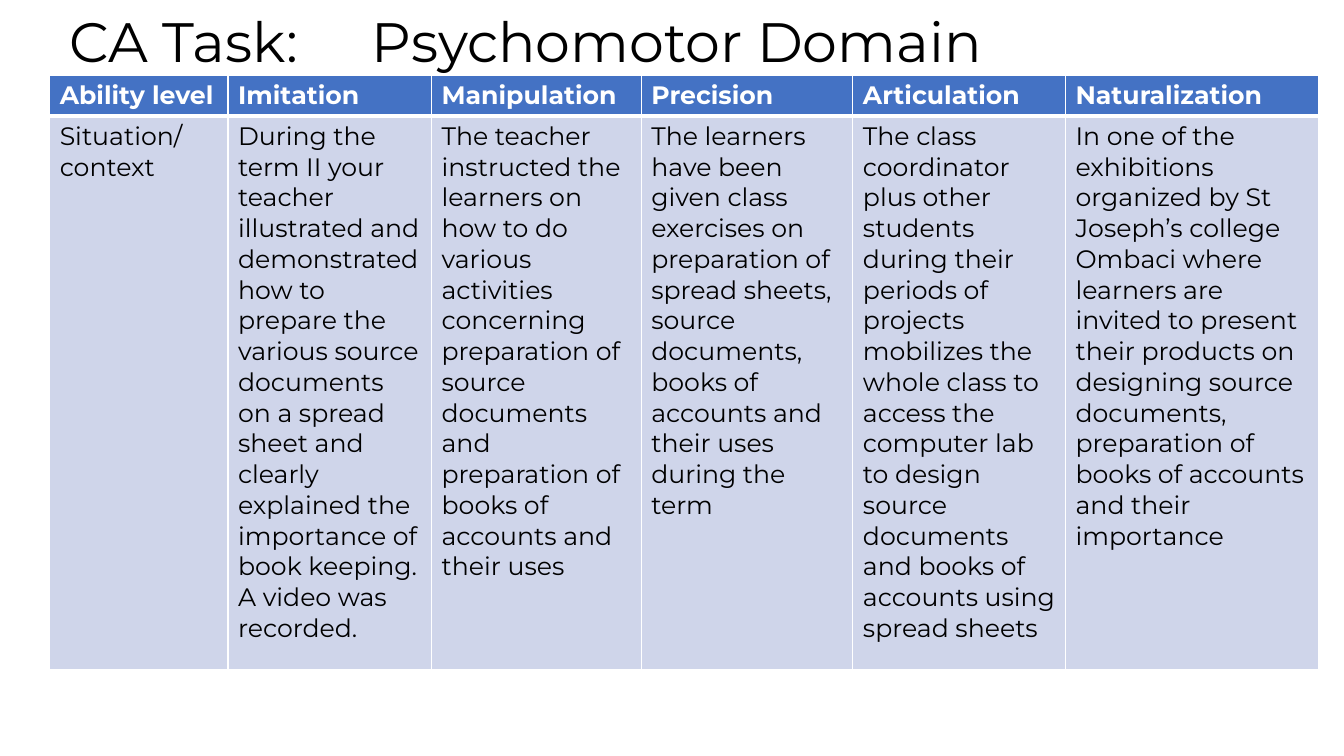
from lxml.etree import SubElement
from pptx import Presentation
from pptx.dml.color import RGBColor
from pptx.enum.text import MSO_ANCHOR, MSO_AUTO_SIZE, PP_ALIGN
from pptx.oxml.ns import qn
from pptx.util import Pt

TITLE = "CA Task:\tPsychomotor Domain"
LEVELS = [
    ("Ability level", 127.4, "Situation/ context"),
    ("Imitation", 145.4,
     "During the term II your teacher illustrated and demonstrated how to prepare "
     "the various source documents on a spread sheet and clearly explained the "
     "importance of book keeping. A video was recorded."),
    ("Manipulation", 149.8,
     "The teacher instructed the learners on how to do various activities concerning "
     "preparation of source documents and preparation of books of accounts and their uses"),
    ("Precision", 151.2,
     "The learners have been given class exercises on preparation of spread sheets, "
     "source documents, books of accounts and their uses during the term"),
    ("Articulation", 151.9,
     "The class coordinator plus other students during their periods of projects "
     "mobilizes the whole class to access the computer lab to design source documents "
     "and books of accounts using spread sheets"),
    ("Naturalization", 180.7,
     "In one of the exhibitions organized by St Joseph’s college Ombaci where learners "
     "are invited to present their products on designing source documents, preparation "
     "of books of accounts and their importance"),
]
COLORS = {"header": "4472C4", "body": "CFD5EA", "white": "FFFFFF", "black": "000000"}
FONT = "Montserrat"
ROW_HEIGHTS = [29, 395.3]
HEADER_RULE = 3
THIN_RULE = 1


def rgb(name):
    return RGBColor.from_string(COLORS[name])


def style_text(p, size, color, bold=False):
    p.font.name = FONT
    p.font.size = Pt(size)
    p.font.bold = bold
    p.font.color.rgb = rgb(color)


def add_border(cell, side, width):
    tcPr = cell._tc.get_or_add_tcPr()
    ln = SubElement(tcPr, qn(f"a:ln{side}"), w=str(Pt(width)))
    fill = SubElement(ln, qn("a:solidFill"))
    SubElement(fill, qn("a:srgbClr"), val=COLORS["white"])


def fill_cell(cell, text, is_header):
    widths = {"L": THIN_RULE, "R": THIN_RULE,
              "T": THIN_RULE if is_header else HEADER_RULE,
              "B": HEADER_RULE if is_header else THIN_RULE}
    for side, width in widths.items():
        add_border(cell, side, width)
    cell.fill.solid()
    cell.fill.fore_color.rgb = rgb("header" if is_header else "body")
    cell.text = text
    style_text(cell.text_frame.paragraphs[0], 18,
               "white" if is_header else "black", is_header)


def add_title(slide):
    sp = slide.shapes.title
    sp.left, sp.top, sp.width, sp.height = Pt(42.5), Pt(6.5), Pt(861.8), Pt(51.1)
    tf = sp.text_frame
    tf.text = TITLE
    tf.word_wrap = True
    tf.auto_size = MSO_AUTO_SIZE.NONE
    tf.vertical_anchor = MSO_ANCHOR.MIDDLE
    p = tf.paragraphs[0]
    p.alignment = PP_ALIGN.LEFT
    p.line_spacing = 0.9
    style_text(p, 39.6, "black")
    p._p.get_or_add_pPr().set("defTabSz", str(Pt(72)))


def add_levels_table(slide):
    total_width = sum(width for _, width, _ in LEVELS)
    table = slide.shapes.add_table(2, len(LEVELS), Pt(35.5), Pt(53.6),
                                   Pt(total_width), Pt(sum(ROW_HEIGHTS))).table
    for row, height in zip(table.rows, ROW_HEIGHTS):
        row.height = Pt(height)
    for i, (level, width, situation) in enumerate(LEVELS):
        table.columns[i].width = Pt(width)
        fill_cell(table.cell(0, i), level, True)
        fill_cell(table.cell(1, i), situation, False)


def main():
    prs = Presentation()
    prs.slide_width, prs.slide_height = Pt(960), Pt(540)
    slide = prs.slides.add_slide(prs.slide_layouts[5])
    add_title(slide)
    add_levels_table(slide)
    prs.save("out.pptx")


if __name__ == "__main__":
    main()
